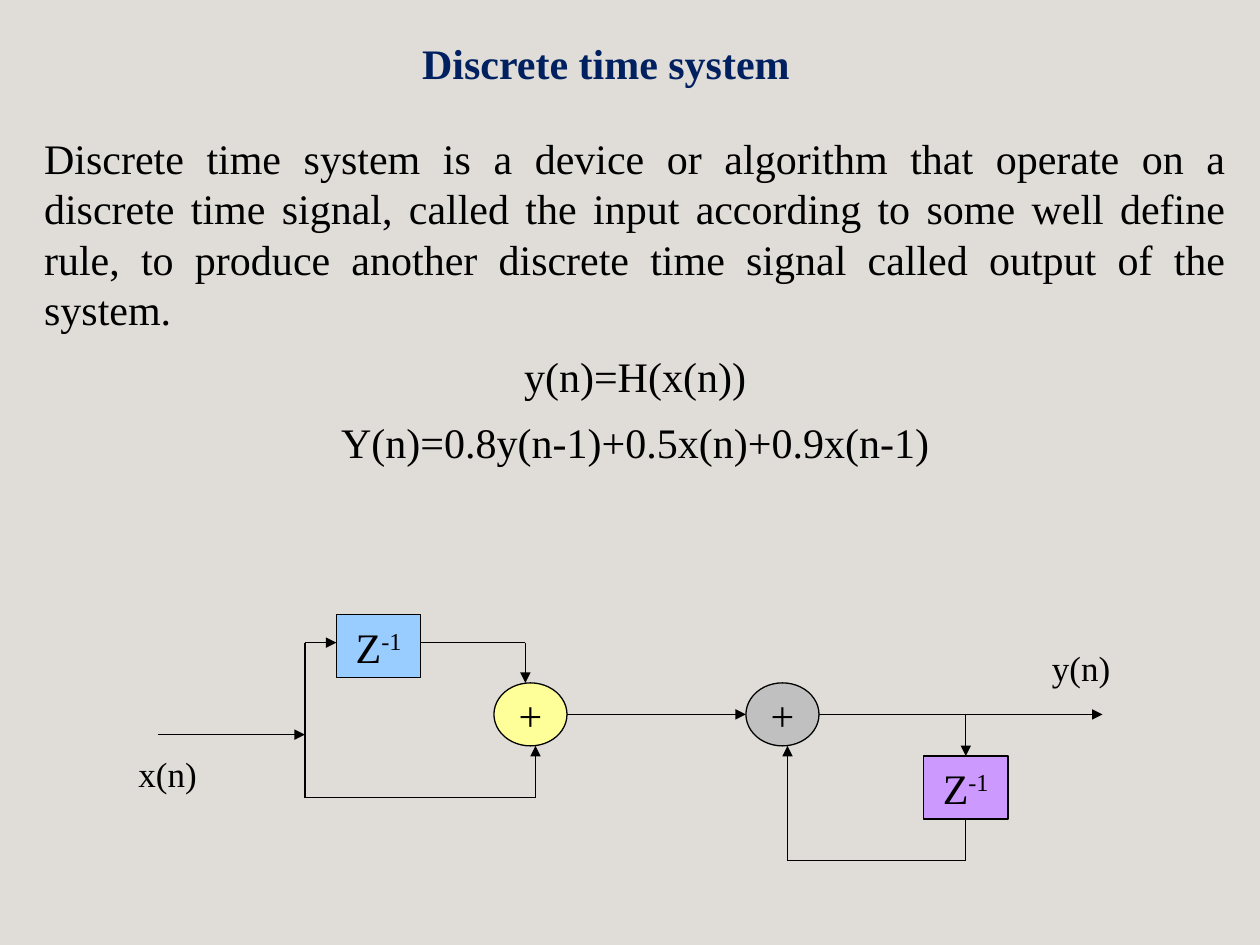
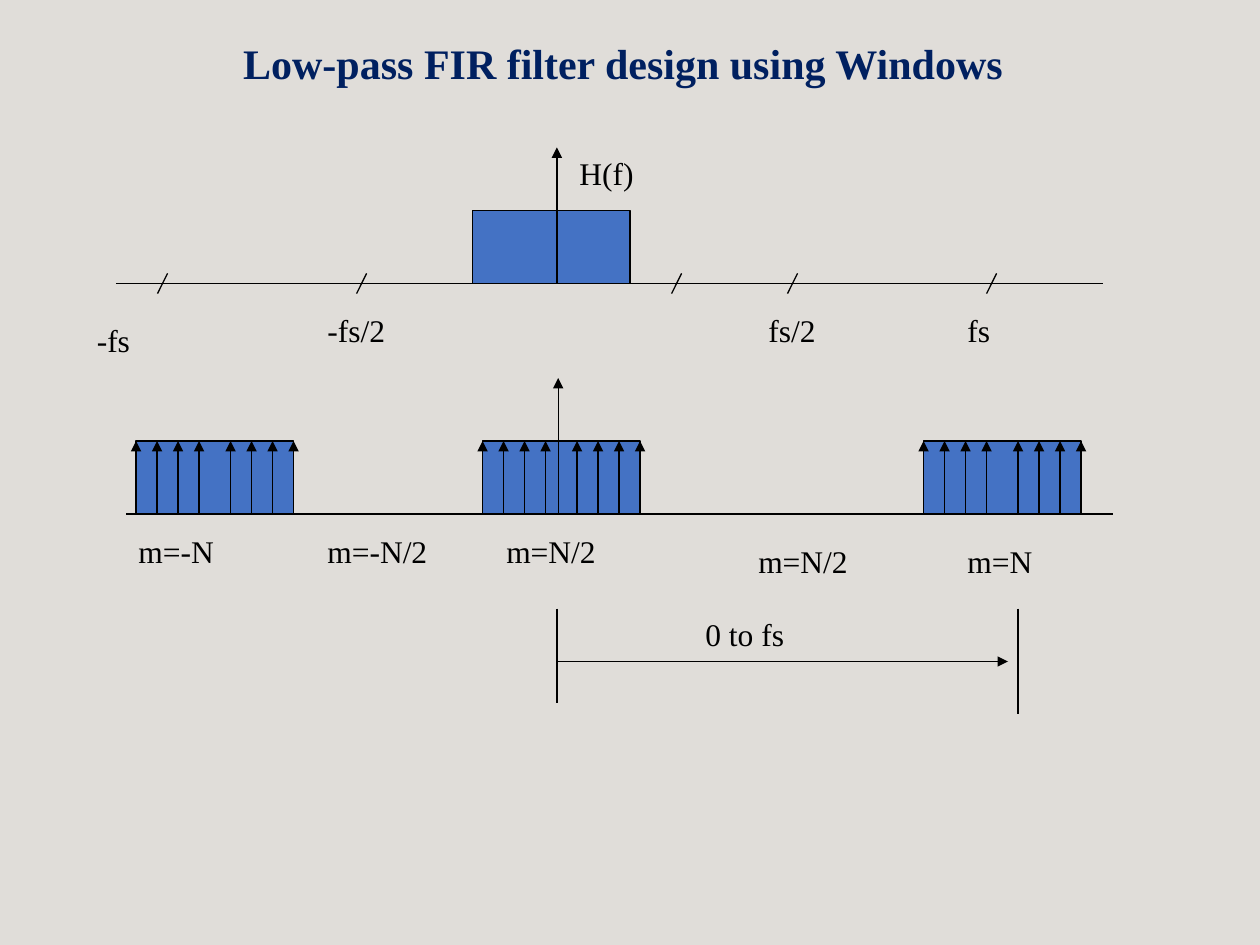
from dataclasses import dataclass
from itertools import pairwise
from typing import NamedTuple

from lxml.etree import SubElement
from pptx import Presentation
from pptx.dml.color import RGBColor
from pptx.enum.shapes import MSO_CONNECTOR, MSO_SHAPE
from pptx.enum.text import MSO_ANCHOR, MSO_AUTO_SIZE, PP_ALIGN
from pptx.oxml.ns import qn
from pptx.presentation import Presentation as Deck
from pptx.shapes.autoshape import Shape
from pptx.shapes.connector import Connector
from pptx.shapes.shapetree import GroupShapes, SlideShapes
from pptx.slide import Slide
from pptx.text.text import TextFrame, _Paragraph as Paragraph
from pptx.util import Inches, Pt

Shapes = SlideShapes | GroupShapes
Point = tuple[float, float]


@dataclass(frozen=True)
class Theme:
    font: str = "Times New Roman"
    background: str = "E0DDD9"
    heading: str = "002060"
    ink: str = "000000"
    band: str = "4472C4"
    input_delay: str = "99CCFF"
    output_delay: str = "CC99FF"
    input_adder: str = "FFFF99"
    output_adder: str = "C0C0C0"
    main_size: int = 24
    signal_size: int = 20
    axis_size: int = 18
    line_width: float = 0.75
    paragraph_gap: int = 15


THEME = Theme()


class Box(NamedTuple):
    left: float
    top: float
    width: float
    height: float

    @property
    def right(self) -> float:
        return self.left + self.width

    @property
    def bottom(self) -> float:
        return self.top + self.height

    @property
    def center_x(self) -> float:
        return self.left + self.width / 2

    @property
    def center_y(self) -> float:
        return self.top + self.height / 2

    def lengths(self) -> list[Inches]:
        return [Inches(value) for value in self]


class Label(NamedTuple):
    text: str
    left: float
    top: float
    width: float


class Block(NamedTuple):
    box: Box
    outline: MSO_SHAPE
    fill: str
    symbol: str = ""
    exponent: str = ""


def rgb(value: str) -> RGBColor:
    return RGBColor.from_string(value)


def add_run(paragraph: Paragraph, text: str, size: int, color: str = THEME.ink,
            bold: bool = False, superscript: bool = False) -> None:
    run = paragraph.add_run()
    run.text = text
    run.font.name = THEME.font
    run.font.size = Pt(size)
    run.font.bold = bold
    run.font.color.rgb = rgb(color)
    if superscript:
        run._r.get_or_add_rPr().set("baseline", "30000")


def place_placeholder(holder: Shape, box: Box) -> TextFrame:
    holder.left, holder.top, holder.width, holder.height = box.lengths()
    frame = holder.text_frame
    frame.auto_size = MSO_AUTO_SIZE.NONE
    frame.vertical_anchor = MSO_ANCHOR.TOP
    frame.word_wrap = True
    return frame


def set_title(slide: Slide, text: str, box: Box) -> None:
    paragraph = place_placeholder(slide.shapes.title, box).paragraphs[0]
    paragraph.alignment = PP_ALIGN.LEFT
    add_run(paragraph, text, THEME.main_size, THEME.heading, bold=True)


def set_body(slide: Slide, statement: str, equations: list[str], box: Box) -> None:
    """Write a justified statement followed by centred equations, without bullets."""
    frame = place_placeholder(slide.placeholders[1], box)
    for index, text in enumerate([statement, *equations]):
        paragraph = frame.add_paragraph() if index else frame.paragraphs[0]
        paragraph.alignment = PP_ALIGN.CENTER if index else PP_ALIGN.JUSTIFY
        paragraph.line_spacing = 0.8 if index else 1.0
        paragraph.space_before = Pt(THEME.paragraph_gap if index else 0)
        properties = paragraph._p.get_or_add_pPr()
        properties.set("marL", "0")
        properties.set("indent", "0")
        SubElement(properties, qn("a:buNone"))
        add_run(paragraph, text, THEME.main_size)


def add_label(shapes: Shapes, label: Label, size: int) -> None:
    box = Box(label.left, label.top, label.width, 0.4)
    frame = shapes.add_textbox(*box.lengths()).text_frame
    frame.word_wrap = True
    add_run(frame.paragraphs[0], label.text, size)


def add_block(shapes: Shapes, block: Block) -> Shape:
    shape = shapes.add_shape(block.outline, *block.box.lengths())
    shape.shadow.inherit = False
    shape.fill.solid()
    shape.fill.fore_color.rgb = rgb(block.fill)
    shape.line.color.rgb = rgb(THEME.ink)
    shape.line.width = Pt(THEME.line_width)
    if block.symbol:
        frame = shape.text_frame
        frame.word_wrap = False
        frame.vertical_anchor = MSO_ANCHOR.MIDDLE
        paragraph = frame.paragraphs[0]
        paragraph.alignment = PP_ALIGN.CENTER
        add_run(paragraph, block.symbol, THEME.main_size)
        if block.exponent:
            add_run(paragraph, block.exponent, THEME.main_size, superscript=True)
    return shape


def add_line(shapes: Shapes, start: Point, end: Point, arrow: bool = False) -> Connector:
    line = shapes.add_connector(
        MSO_CONNECTOR.STRAIGHT, *(Inches(value) for value in (*start, *end)))
    line.line.color.rgb = rgb(THEME.ink)
    line.line.width = Pt(THEME.line_width)
    if arrow:
        SubElement(line.line._get_or_add_ln(), qn("a:tailEnd"), type="triangle")
    SubElement(line._element.spPr, qn("a:effectLst"))
    return line


def add_route(shapes: Shapes, *points: Point) -> list[Connector]:
    """Join the points with straight lines, the last one ending in an arrowhead."""
    return [add_line(shapes, start, end, arrow=end is points[-1])
            for start, end in pairwise(points)]


def add_impulse_band(shapes: Shapes, left: float) -> None:
    box = Box(left, 3.5, 1.25, 0.58)
    band = shapes.add_group_shape().shapes
    add_block(band, Block(box, MSO_SHAPE.RECTANGLE, THEME.band))
    for step in range(4):
        offset = step / 6
        for x in (box.left + offset, box.right - offset):
            add_line(band, (x, box.bottom), (x, box.top), arrow=True)


def build_system_slide(deck: Deck) -> None:
    slide = deck.slides.add_slide(deck.slide_layouts[1])
    shapes = slide.shapes
    set_title(slide, "Discrete time system", Box(3.25, 0.25, 3.58, 0.5))
    set_body(
        slide,
        "Discrete time system is a device or algorithm that operate on a discrete "
        "time signal, called the input according to some well define rule, to "
        "produce another discrete time signal called output of the system.",
        ["y(n)=H(x(n))", "Y(n)=0.8y(n-1)+0.5x(n)+0.9x(n-1)"],
        Box(0.25, 1, 9.58, 2.76))

    input_delay = Box(2.67, 4.88, 0.67, 0.5)
    output_delay = Box(7.33, 6, 0.67, 0.5)
    input_adder = Box(3.92, 5.42, 0.58, 0.5)
    output_adder = Box(5.92, 5.42, 0.58, 0.5)
    add_block(shapes, Block(input_delay, MSO_SHAPE.RECTANGLE, THEME.input_delay, "Z", "-1"))
    add_block(shapes, Block(input_adder, MSO_SHAPE.OVAL, THEME.input_adder, "+"))
    output_delay_shape = add_block(
        shapes, Block(output_delay, MSO_SHAPE.RECTANGLE, THEME.output_delay, "Z", "-1"))
    add_block(shapes, Block(output_adder, MSO_SHAPE.OVAL, THEME.output_adder, "+"))

    split_x, split_y = split = (2.42, 5.83)
    delayed_y, direct_y, feedback_y = 5.1, 6.33, 6.83
    main_y = input_adder.center_y
    feedback_x = output_delay.center_x
    add_route(shapes, (1.25, split_y), split)
    add_route(shapes, split, (split_x, delayed_y), (input_delay.left, delayed_y))
    add_route(shapes, (input_delay.right, delayed_y), (4.17, delayed_y),
              (4.17, input_adder.top))
    add_route(shapes, split, (split_x, direct_y), (4.25, direct_y),
              (4.25, input_adder.bottom))
    add_route(shapes, (input_adder.right, main_y), (output_adder.left, main_y))
    add_route(shapes, (output_adder.right, main_y), (8.75, main_y))
    [into_delay] = add_route(shapes, (feedback_x, main_y), (feedback_x, output_delay.top))
    into_delay.end_connect(output_delay_shape, 0)
    out_of_delay, *_ = add_route(
        shapes, (feedback_x, output_delay.bottom), (feedback_x, feedback_y),
        (6.25, feedback_y), (6.25, output_adder.bottom))
    out_of_delay.begin_connect(output_delay_shape, 2)

    for signal in (Label("x(n)", 1, 5.92, 0.83), Label("y(n)", 8.25, 5.08, 0.83)):
        add_label(shapes, signal, THEME.signal_size)


def build_filter_slide(deck: Deck) -> None:
    slide = deck.slides.add_slide(deck.slide_layouts[5])
    shapes = slide.shapes
    set_title(slide, "Low-pass FIR filter design using Windows", Box(1.83, 0.25, 7, 0.5))

    response_y, sampled_y, origin_x = 2.25, 4.08, 4.42
    add_line(shapes, (0.92, response_y), (8.75, response_y))
    add_block(shapes, Block(Box(3.75, 1.67, 1.25, 0.58), MSO_SHAPE.RECTANGLE, THEME.band))
    add_line(shapes, (origin_x, response_y), (origin_x, 1.17), arrow=True)
    for tick_x in (1.25, 2.83, 5.33, 6.25, 7.83):
        add_line(shapes, (tick_x + 0.08, response_y - 0.08), (tick_x, response_y + 0.08))

    add_line(shapes, (1, sampled_y), (8.83, sampled_y))
    for band_left in (1.08, 3.83, 7.33):
        add_impulse_band(shapes, band_left)
    add_line(shapes, (4.43, sampled_y), (4.43, 3), arrow=True)

    range_top, range_y, range_end = 4.83, 5.25, 8.08
    add_line(shapes, (origin_x, range_top), (origin_x, 5.58))
    add_line(shapes, (range_end, range_top), (range_end, 5.67))
    add_line(shapes, (origin_x, range_y), (8, range_y), arrow=True)

    for label in (
        Label("H(f)", 4.5, 1.17, 0.83),
        Label("-fs", 0.67, 2.5, 0.58),
        Label("-fs/2", 2.5, 2.42, 0.75),
        Label("fs/2", 6, 2.42, 0.75),
        Label("fs", 7.58, 2.42, 0.58),
        Label("m=-N", 1, 4.17, 1),
        Label("m=-N/2", 2.5, 4.17, 1),
        Label("m=N/2", 3.92, 4.17, 1),
        Label("m=N/2", 5.92, 4.25, 1),
        Label("m=N", 7.58, 4.25, 1),
        Label("0 to fs", 5.5, range_top, 1.25),
    ):
        add_label(shapes, label, THEME.axis_size)


def main() -> None:
    deck = Presentation()
    deck.slide_width, deck.slide_height = Inches(10), Inches(7.5)
    backdrop = deck.slide_master.background.fill
    backdrop.solid()
    backdrop.fore_color.rgb = rgb(THEME.background)
    build_system_slide(deck)
    build_filter_slide(deck)
    deck.save("out.pptx")


if __name__ == "__main__":
    main()
